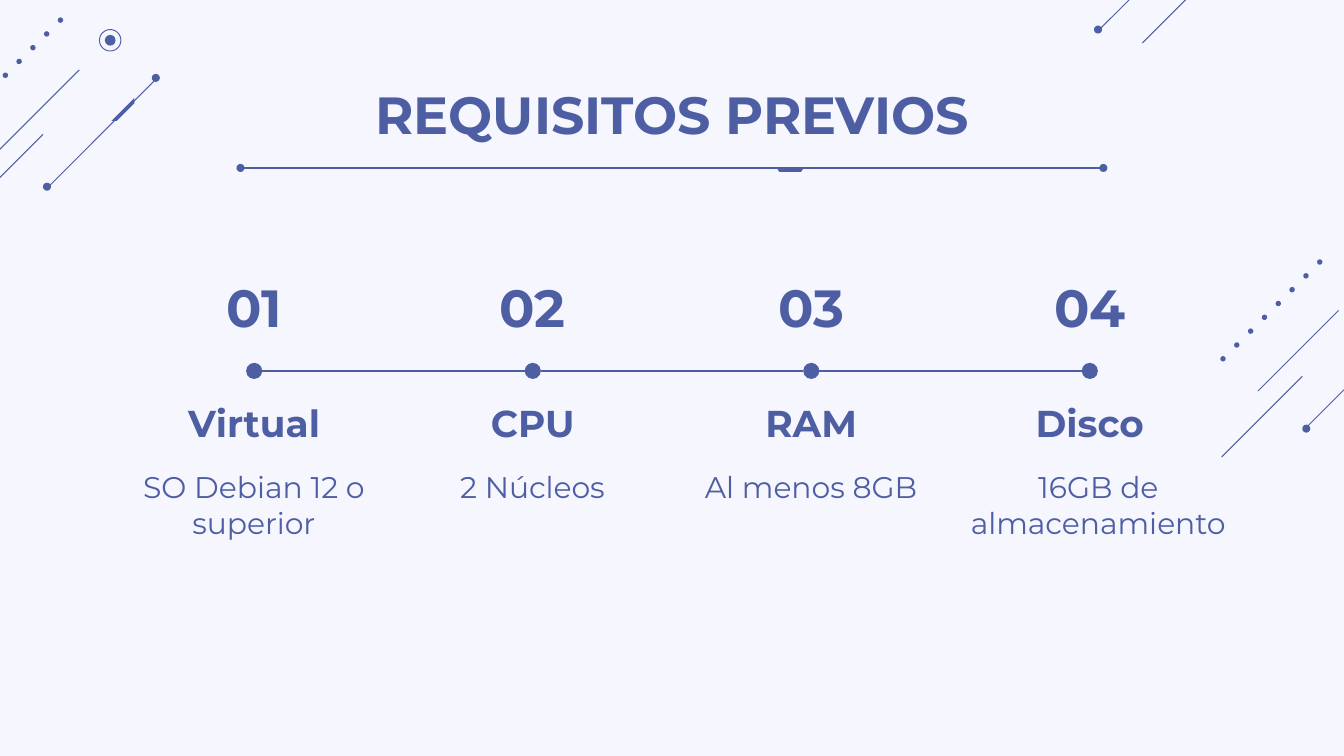
"""Build the slide of prerequisites with its four-step timeline."""
from dataclasses import dataclass
from typing import NamedTuple

from lxml.etree import SubElement
from pptx import Presentation
from pptx.dml.color import RGBColor
from pptx.enum.shapes import MSO_CONNECTOR as Connector, MSO_SHAPE as Preset
from pptx.enum.text import MSO_ANCHOR as Anchor, MSO_AUTO_SIZE as AutoSize, PP_ALIGN as Align
from pptx.oxml.ns import qn
from pptx.shapes.autoshape import Shape
from pptx.slide import Slide
from pptx.util import Inches, Pt


@dataclass(frozen=True)
class Theme:
    ink: RGBColor = RGBColor(0x4E, 0x5E, 0xA3)
    paper: RGBColor = RGBColor(0xF6, 0xF6, 0xFF)
    font: str = "Montserrat"
    display: float = 28
    heading: float = 20
    detail: float = 16
    stroke: float = 0.75
    hairline: float = 0.5


class Point(NamedTuple):
    x: float
    y: float


class Box(NamedTuple):
    left: float
    top: float
    width: float
    height: float


class Diagonal(NamedTuple):
    top: Point
    span: float


class Trail(NamedTuple):
    first: Point
    last: Point
    count: int


class Dot(NamedTuple):
    center: Point
    diameter: float


@dataclass(frozen=True)
class Requirement:
    name: str
    detail: str
    detail_width: float


THEME = Theme()
SLIDE_WIDTH = 10
SLIDE_HEIGHT = SLIDE_WIDTH * 9 / 16
CONTENT_WIDTH = 8.29
CONTENT_LEFT = (SLIDE_WIDTH - CONTENT_WIDTH) / 2
TIMELINE_Y, MARKER = 2.76, 0.12
RULE_Y, RULE_LEFT, RULE_RIGHT = 1.25, 1.79, 8.21
END_DOT, TRAIL_DOT = 0.06, 0.04

REQUIREMENTS = [
    Requirement("Virtual", "SO Debian 12 o superior", 2.07),
    Requirement("CPU", "2 Núcleos", 2.07),
    Requirement("RAM", "Al menos 8GB", 2.07),
    Requirement("Disco", "16GB de almacenamiento", 2.2),
]
PITCH = CONTENT_WIDTH / len(REQUIREMENTS)

DIAGONALS = [
    Diagonal(Point(9.96, 2.31), 0.6),
    Diagonal(Point(9.69, 2.8), 0.6),
    Diagonal(Point(10.53, 2.37), 0.82),
    Diagonal(Point(0.59, 0.52), 0.6),
    Diagonal(Point(0.32, 1), 0.6),
    Diagonal(Point(1.17, 0.58), 0.82),
    Diagonal(Point(9.1, -0.28), 0.6),
    Diagonal(Point(8.47, -0.07), 0.3),
]
TRAILS = [
    Trail(Point(9.82, 1.95), Point(9.1, 2.67), 8),
    Trail(Point(0.45, 0.15), Point(0.04, 0.56), 5),
]
DOTS = [
    Dot(Point(9.72, 3.19), END_DOT),
    Dot(Point(1.16, 0.58), END_DOT),
    Dot(Point(0.35, 1.39), END_DOT),
    Dot(Point(8.17, 0.22), END_DOT),
    Dot(Point(0.82, 0.3), 0.08),
    Dot(Point(RULE_LEFT, RULE_Y), END_DOT),
    Dot(Point(RULE_RIGHT, RULE_Y), END_DOT),
]
RING = Dot(Point(0.82, 0.3), 0.16)
ACCENTS = [
    [Point(1, 0.73), Point(0.83, 0.9), Point(0.87, 0.9), Point(1, 0.77)],
    [Point(5.78, 1.25), Point(5.98, 1.25), Point(5.96, 1.28), Point(5.8, 1.28)],
]


def fill_with_ink(shape: Shape) -> None:
    shape.shadow.inherit = False
    shape.fill.solid()
    shape.fill.fore_color.rgb = THEME.ink
    shape.line.fill.background()


def draw_dot(slide: Slide, dot: Dot) -> Shape:
    radius = dot.diameter / 2
    disc = slide.shapes.add_shape(
        Preset.OVAL, Inches(dot.center.x - radius), Inches(dot.center.y - radius),
        Inches(dot.diameter), Inches(dot.diameter))
    fill_with_ink(disc)
    return disc


def draw_ring(slide: Slide, ring: Dot) -> None:
    circle = draw_dot(slide, ring)
    circle.fill.background()
    circle.line.color.rgb = THEME.ink
    circle.line.width = Pt(THEME.hairline)


def draw_line(slide: Slide, start: Point, end: Point, width: float) -> None:
    line = slide.shapes.add_connector(
        Connector.STRAIGHT, *(Inches(value) for value in (*start, *end)))
    line.line.color.rgb = THEME.ink
    line.line.width = Pt(width)
    SubElement(line._element.spPr, qn("a:effectLst"))


def draw_trail(slide: Slide, trail: Trail) -> None:
    for index in range(trail.count):
        share = index / (trail.count - 1)
        center = Point(*(a + (b - a) * share for a, b in zip(trail.first, trail.last)))
        draw_dot(slide, Dot(center, TRAIL_DOT))


def draw_accent(slide: Slide, corners: list[Point]) -> None:
    first, *rest = [(Inches(x), Inches(y)) for x, y in corners]
    outline = slide.shapes.build_freeform(*first)
    outline.add_line_segments(rest, close=True)
    fill_with_ink(outline.convert_to_shape())


def write(holder: Shape, text: str, size: float, bold: bool) -> None:
    frame = holder.text_frame
    frame.text = text
    paragraph = frame.paragraphs[0]
    paragraph.alignment = Align.CENTER
    frame_format = {
        "word_wrap": True, "auto_size": AutoSize.NONE, "vertical_anchor": Anchor.TOP,
        "margin_left": Inches(0.1), "margin_right": Inches(0.1),
        "margin_top": 0, "margin_bottom": 0,
    }
    font_format = {"name": THEME.font, "size": Pt(size), "bold": bold}
    font = paragraph.runs[0].font
    for target, values in ((frame, frame_format), (font, font_format)):
        for attribute, value in values.items():
            setattr(target, attribute, value)
    font.color.rgb = THEME.ink


def draw_text(slide: Slide, box: Box, text: str, size: float, bold: bool) -> None:
    holder = slide.shapes.add_textbox(*(Inches(value) for value in box))
    write(holder, text, size, bold)


def draw_title(slide: Slide, text: str) -> None:
    title = slide.shapes.title
    place = Box(CONTENT_LEFT, 0.61, CONTENT_WIDTH, 0.63)
    for attribute, value in place._asdict().items():
        setattr(title, attribute, Inches(value))
    write(title, text, THEME.display, True)
    draw_line(slide, Point(RULE_LEFT, RULE_Y), Point(RULE_RIGHT, RULE_Y), THEME.stroke)


def draw_requirement(slide: Slide, index: int, item: Requirement) -> None:
    left = CONTENT_LEFT + index * PITCH
    center = left + PITCH / 2
    draw_text(slide, Box(left, 2.05, PITCH, 0.48), f"{index + 1:02}", THEME.display, True)
    draw_text(slide, Box(left, 2.98, PITCH, 0.37), item.name, THEME.heading, True)
    draw_text(slide, Box(left, 3.49, item.detail_width, 0.84), item.detail, THEME.detail, False)
    draw_dot(slide, Dot(Point(center, TIMELINE_Y), MARKER))
    if index:
        draw_line(slide, Point(center - PITCH + MARKER / 2, TIMELINE_Y),
                  Point(center - MARKER / 2, TIMELINE_Y), THEME.stroke)


def main() -> None:
    deck = Presentation()
    deck.slide_width, deck.slide_height = Inches(SLIDE_WIDTH), Inches(SLIDE_HEIGHT)
    slide = deck.slides.add_slide(deck.slide_layouts[5])
    slide.background.fill.solid()
    slide.background.fill.fore_color.rgb = THEME.paper
    for top, span in DIAGONALS:
        draw_line(slide, top, Point(top.x - span, top.y + span), THEME.hairline)
    for trail in TRAILS:
        draw_trail(slide, trail)
    draw_title(slide, "REQUISITOS PREVIOS")
    for dot in DOTS:
        draw_dot(slide, dot)
    draw_ring(slide, RING)
    for corners in ACCENTS:
        draw_accent(slide, corners)
    for index, item in enumerate(REQUIREMENTS):
        draw_requirement(slide, index, item)
    deck.save("out.pptx")


if __name__ == "__main__":
    main()
